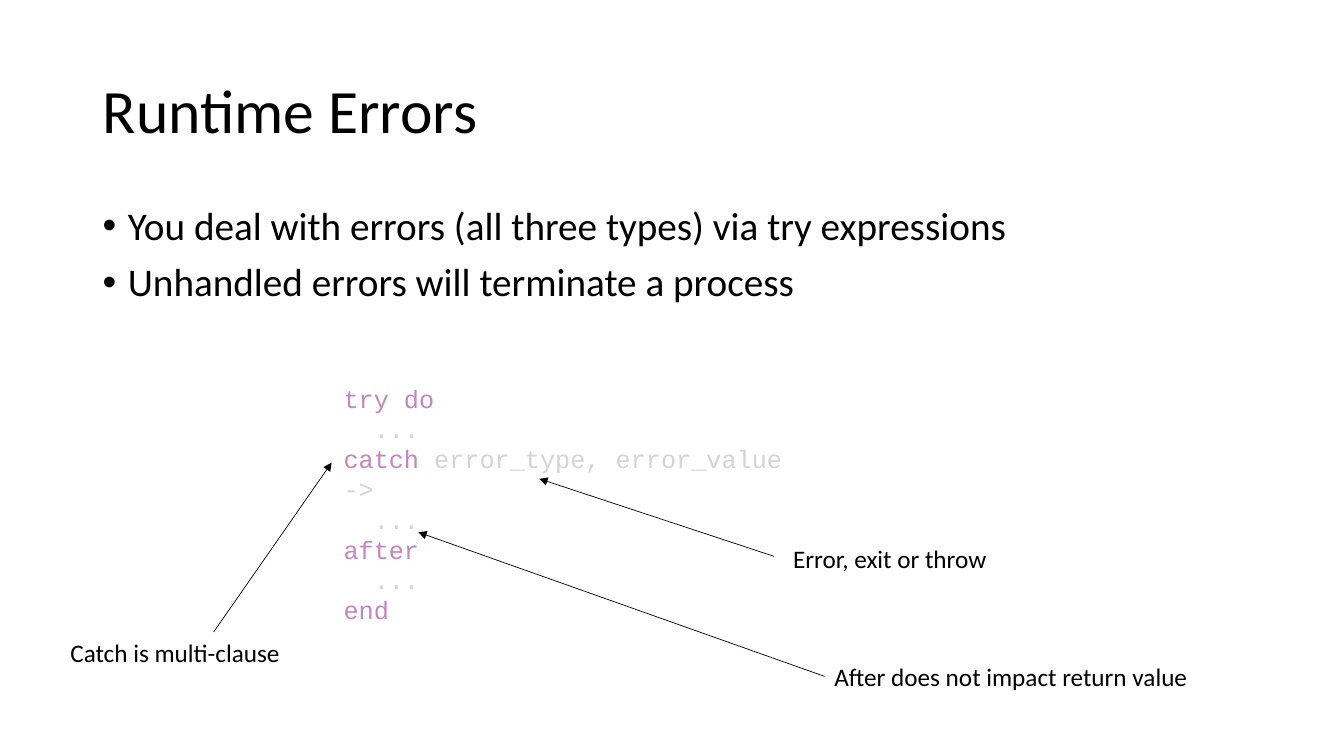
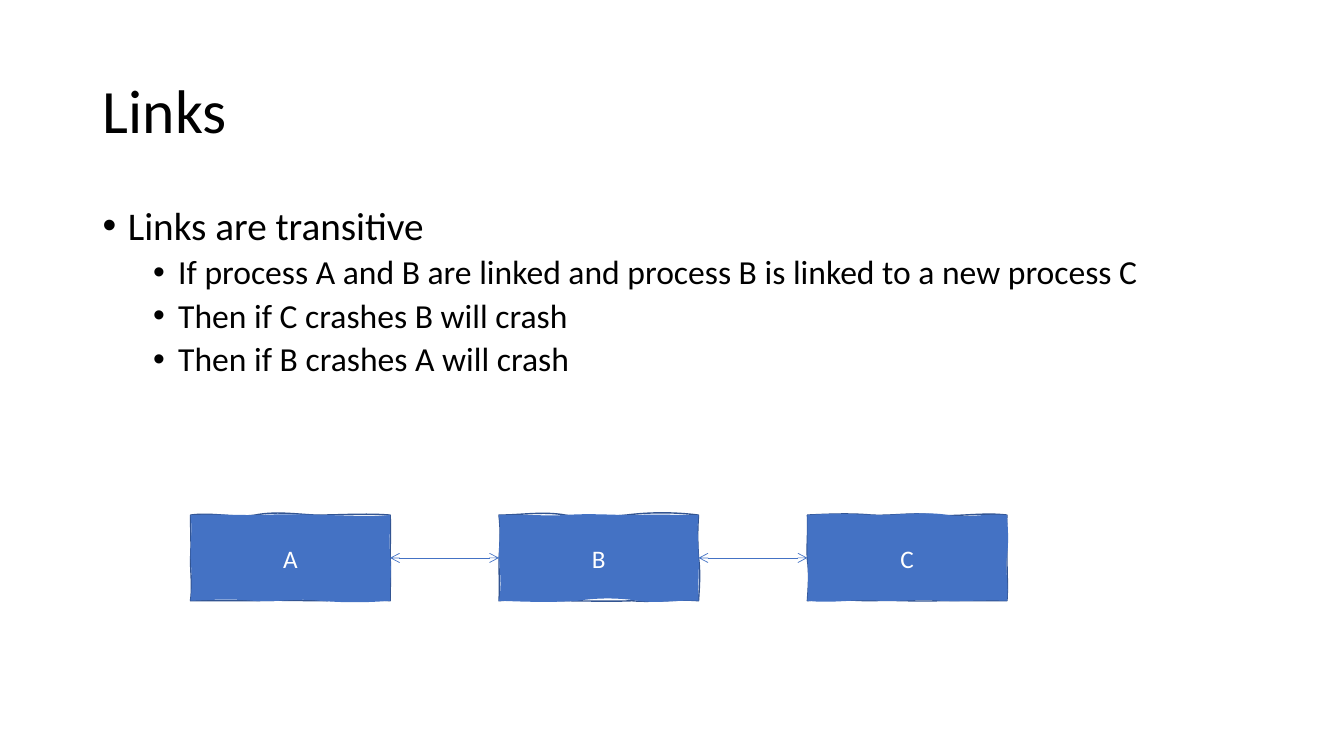
from dataclasses import dataclass
from typing import NamedTuple

from lxml.etree import SubElement
from pptx import Presentation
from pptx.dml.color import RGBColor
from pptx.enum.shapes import MSO_CONNECTOR
from pptx.enum.text import MSO_ANCHOR, MSO_AUTO_SIZE, PP_ALIGN
from pptx.oxml.ns import qn
from pptx.shapes.autoshape import Shape
from pptx.slide import Slide
from pptx.text.text import _Paragraph as Paragraph
from pptx.util import Inches, Pt


@dataclass(frozen=True)
class Theme:
    font: str = "Calibri"
    code_font: str = "Courier New"
    background: RGBColor = RGBColor(0xFF, 0xFF, 0xFF)
    text: RGBColor = RGBColor(0, 0, 0)
    keyword: RGBColor = RGBColor(0xC5, 0x86, 0xC0)
    code: RGBColor = RGBColor(0xD4, 0xD4, 0xD4)
    accent: RGBColor = RGBColor(0x44, 0x72, 0xC4)
    outline: RGBColor = RGBColor(0x32, 0x54, 0x91)
    inverse: RGBColor = RGBColor(0xFF, 0xFF, 0xFF)
    title_size: int = 44
    bullet_sizes: tuple[int, int] = (28, 24)
    bullet_gaps: tuple[int, int] = (10, 5)
    label_size: int = 18
    arrow_width: float = 0.5
    outline_width: float = 1


THEME = Theme()


class Area(NamedTuple):
    left: float
    top: float
    width: float
    height: float


class Point(NamedTuple):
    x: float
    y: float


class Bullet(NamedTuple):
    text: str
    level: int = 0


class Token(NamedTuple):
    text: str
    color: RGBColor


class Note(NamedTuple):
    text: str
    area: Area
    arrow_start: Point
    arrow_end: Point


class Bend(NamedTuple):
    end: float
    first: int
    second: int


class Sketch(NamedTuple):
    top: tuple[Bend, ...]
    right: tuple[Bend, ...]
    bottom: tuple[Bend, ...]
    left: tuple[Bend, ...]


class Process(NamedTuple):
    name: str
    outline: Sketch
    fill: Sketch


TITLE_AREA = Area(0.92, 0.4, 11.5, 1.45)
BODY_AREA = Area(0.92, 2, 11.5, 4.76)
CODE_AREA = Area(3.31, 3.75, 4.93, 2.52)
FIRST_PROCESS = Area(1.89, 5.11, 1.98, 0.85)
PROCESS_STEP = 3.06

CODE_LINES = (
    (Token("try do", THEME.keyword),),
    (Token("  ...", THEME.code),),
    (Token("catch ", THEME.keyword), Token("error_type, error_value ->", THEME.code)),
    (Token("  ...", THEME.code),),
    (Token("after", THEME.keyword),),
    (Token("  ...", THEME.code),),
    (Token("end", THEME.keyword),),
)

NOTES = (
    Note("Error, exit or throw", Area(7.77, 5.34, 3.04, 0.4), Point(7.68, 5.52), Point(5.35, 4.75)),
    Note("Catch is multi-clause", Area(0.6, 6.27, 3.04, 0.4), Point(2.12, 6.27), Point(3.29, 4.59)),
    Note("After does not impact return value", Area(8.18, 6.51, 3.84, 0.4),
         Point(8.18, 6.71), Point(4.15, 5.28)),
)

PROCESSES = (
    Process(
        "A",
        Sketch((Bend(0.64, -3, 3), Bend(1.24, -4, -1), Bend(1.98, 0, -2)),
               (Bend(0.42, 1, 0), Bend(0.85, 1, 0)),
               (Bend(1.32, -2, -1), Bend(0.64, 0, -1), Bend(0, 0, 0)),
               (Bend(0.44, 2, 0), Bend(0, 1, 0))),
        Sketch((Bend(0.66, -1, 0), Bend(1.3, -1, -1), Bend(1.98, 0, 2)),
               (Bend(0.41, 0, -1), Bend(0.85, 2, -1)),
               (Bend(1.28, 2, 2), Bend(0.62, -3, 2), Bend(0, -2, -1)),
               (Bend(0.4, 2, 1), Bend(0, 0, 2))),
    ),
    Process(
        "B",
        Sketch((Bend(0.66, 0, -4), Bend(1.26, 3, 2), Bend(1.98, -3, -3)),
               (Bend(0.42, -1, -1), Bend(0.85, 2, 1)),
               (Bend(1.32, -2, 2), Bend(0.62, 1, 0), Bend(0, -1, -2)),
               (Bend(0.45, 1, 0), Bend(0, 1, 2))),
        Sketch((Bend(0.66, -1, 1), Bend(1.34, -2, 0), Bend(1.98, -1, 0)),
               (Bend(0.4, -2, 0), Bend(0.85, 1, -1)),
               (Bend(1.38, -1, 3), Bend(0.78, -3, -3), Bend(0, 2, 1)),
               (Bend(0.42, 3, 1), Bend(0, 0, 2))),
    ),
    Process(
        "C",
        Sketch((Bend(0.64, -1, -2), Bend(1.26, 1, -3), Bend(1.98, 2, -3)),
               (Bend(0.43, -1, 0), Bend(0.85, 0, 1)),
               (Bend(1.3, 0, 0), Bend(0.64, 1, -1), Bend(0, 0, -3)),
               (Bend(0.44, 1, 2), Bend(0, -1, 1))),
        Sketch((Bend(0.7, -2, -1), Bend(1.4, 0, -4), Bend(1.98, 3, -2)),
               (Bend(0.4, 1, 2), Bend(0.85, -2, 2)),
               (Bend(1.32, -1, 1), Bend(0.72, -2, 1), Bend(0, -2, 3)),
               (Bend(0.4, 1, 1), Bend(0, 0, 0))),
    ),
)


def add_run(paragraph: Paragraph, text: str, size: int, color: RGBColor = THEME.text,
            font: str = THEME.font) -> None:
    run = paragraph.add_run()
    run.text = text
    run.font.size = Pt(size)
    run.font.name = font
    run.font.color.rgb = color


def add_text_box(slide: Slide, area: Area) -> Shape:
    shape = slide.shapes.add_textbox(*map(Inches, area))
    shape.text_frame.word_wrap = True
    return shape


def add_titled_slide(presentation: Presentation, title: str) -> Slide:
    slide = presentation.slides.add_slide(presentation.slide_layouts[5])
    slide.background.fill.solid()
    slide.background.fill.fore_color.rgb = THEME.background
    shape = slide.shapes.title
    shape.left, shape.top, shape.width, shape.height = map(Inches, TITLE_AREA)
    shape.text_frame.vertical_anchor = MSO_ANCHOR.MIDDLE
    paragraph = shape.text_frame.paragraphs[0]
    paragraph.alignment = PP_ALIGN.LEFT
    paragraph.line_spacing = 0.9
    add_run(paragraph, title, THEME.title_size)
    return slide


def add_bullets(slide: Slide, bullets: tuple[Bullet, ...]) -> None:
    frame = add_text_box(slide, BODY_AREA).text_frame
    for index, bullet in enumerate(bullets):
        paragraph = frame.add_paragraph() if index else frame.paragraphs[0]
        paragraph.level = bullet.level
        paragraph.line_spacing = 0.9
        paragraph.space_before = Pt(THEME.bullet_gaps[bullet.level])
        properties = paragraph._p.get_or_add_pPr()
        properties.set("marL", str(Inches(0.25 + 0.5 * bullet.level)))
        properties.set("indent", str(Inches(-0.25)))
        SubElement(properties, qn("a:buFont")).set("typeface", "Arial")
        SubElement(properties, qn("a:buChar")).set("char", "•")
        add_run(paragraph, bullet.text, THEME.bullet_sizes[bullet.level])


def add_code(slide: Slide) -> None:
    frame = add_text_box(slide, CODE_AREA).text_frame
    frame.auto_size = MSO_AUTO_SIZE.SHAPE_TO_FIT_TEXT
    for index, tokens in enumerate(CODE_LINES):
        paragraph = frame.add_paragraph() if index else frame.paragraphs[0]
        for token in tokens:
            add_run(paragraph, token.text, THEME.label_size, token.color, THEME.code_font)


def add_arrow(slide: Slide, start: Point, end: Point, color: RGBColor,
              heads: dict[str, str]) -> None:
    connector = slide.shapes.add_connector(
        MSO_CONNECTOR.STRAIGHT, *map(Inches, (*start, *end)))
    connector.line.color.rgb = color
    connector.line.width = Pt(THEME.arrow_width)
    properties = connector._element.spPr
    line = properties.find(qn("a:ln"))
    for tag, kind in heads.items():
        SubElement(line, qn(tag)).set("type", kind)
    SubElement(properties, qn("a:effectLst"))


def add_note(slide: Slide, note: Note) -> None:
    frame = add_text_box(slide, note.area).text_frame
    frame.auto_size = MSO_AUTO_SIZE.SHAPE_TO_FIT_TEXT
    add_run(frame.paragraphs[0], note.text, THEME.label_size)
    add_arrow(slide, note.arrow_start, note.arrow_end, THEME.text, {"a:tailEnd": "triangle"})


def edge_curves(start: float, bends: tuple[Bend, ...]) -> list[list[Point]]:
    curves = []
    for bend in bends:
        third = (bend.end - start) / 3
        curves.append([Point(start + third, bend.first / 100),
                       Point(bend.end - third, bend.second / 100),
                       Point(bend.end, 0)])
        start = bend.end
    return curves


def sketch_curves(area: Area, sketch: Sketch) -> list[list[Point]]:
    width, height = area.width, area.height
    curves = edge_curves(0, sketch.top)
    curves += [[Point(width + away, along) for along, away in curve]
               for curve in edge_curves(0, sketch.right)]
    curves += [[Point(along, height + away) for along, away in curve]
               for curve in edge_curves(width, sketch.bottom)]
    curves += [[Point(away, along) for along, away in curve]
               for curve in edge_curves(height, sketch.left)]
    return curves


def add_process(slide: Slide, area: Area, process: Process) -> None:
    builder = slide.shapes.build_freeform(Inches(area.left), Inches(area.top))
    builder.add_line_segments(
        [(Inches(area.left + curve[-1].x), Inches(area.top + curve[-1].y))
         for curve in sketch_curves(area, process.outline)])
    shape = builder.convert_to_shape()
    paths = shape._element.spPr.find(qn("a:custGeom")).find(qn("a:pathLst"))
    paths.clear()
    for sketch, mode in ((process.outline, {"fill": "none"}), (process.fill, {"stroke": "0"})):
        path = SubElement(paths, qn("a:path"), w=str(shape.width), h=str(shape.height), **mode)
        SubElement(SubElement(path, qn("a:moveTo")), qn("a:pt"), x="0", y="0")
        for curve in sketch_curves(area, sketch):
            segment = SubElement(path, qn("a:cubicBezTo"))
            for point in curve:
                SubElement(segment, qn("a:pt"), x=str(Inches(point.x)), y=str(Inches(point.y)))
        SubElement(path, qn("a:close"))
    shape.shadow.inherit = False
    shape.fill.solid()
    shape.fill.fore_color.rgb = THEME.accent
    shape.line.color.rgb = THEME.outline
    shape.line.width = Pt(THEME.outline_width)
    shape.text_frame.vertical_anchor = MSO_ANCHOR.MIDDLE
    paragraph = shape.text_frame.paragraphs[0]
    paragraph.alignment = PP_ALIGN.CENTER
    add_run(paragraph, process.name, THEME.label_size, THEME.inverse)


def build_errors_slide(presentation: Presentation) -> None:
    slide = add_titled_slide(presentation, "Runtime Errors")
    add_bullets(slide, (
        Bullet("You deal with errors (all three types) via try expressions"),
        Bullet("Unhandled errors will terminate a process"),
    ))
    add_code(slide)
    for note in NOTES:
        add_note(slide, note)


def build_links_slide(presentation: Presentation) -> None:
    slide = add_titled_slide(presentation, "Links")
    add_bullets(slide, (
        Bullet("Links are transitive"),
        Bullet("If process A and B are linked and process B is linked to a new process C", 1),
        Bullet("Then if C crashes B will crash", 1),
        Bullet("Then if B crashes A will crash", 1),
    ))
    areas = [FIRST_PROCESS._replace(left=FIRST_PROCESS.left + index * PROCESS_STEP)
             for index in range(len(PROCESSES))]
    for area, process in zip(areas, PROCESSES):
        add_process(slide, area, process)
    middle = FIRST_PROCESS.top + FIRST_PROCESS.height / 2
    for area, following in zip(areas, areas[1:]):
        add_arrow(slide, Point(area.left + area.width, middle), Point(following.left, middle),
                  THEME.accent, {"a:headEnd": "arrow", "a:tailEnd": "arrow"})


def main() -> None:
    presentation = Presentation()
    presentation.slide_width = Inches(40 / 3)
    presentation.slide_height = Inches(7.5)
    build_errors_slide(presentation)
    build_links_slide(presentation)
    presentation.save("out.pptx")


if __name__ == "__main__":
    main()
